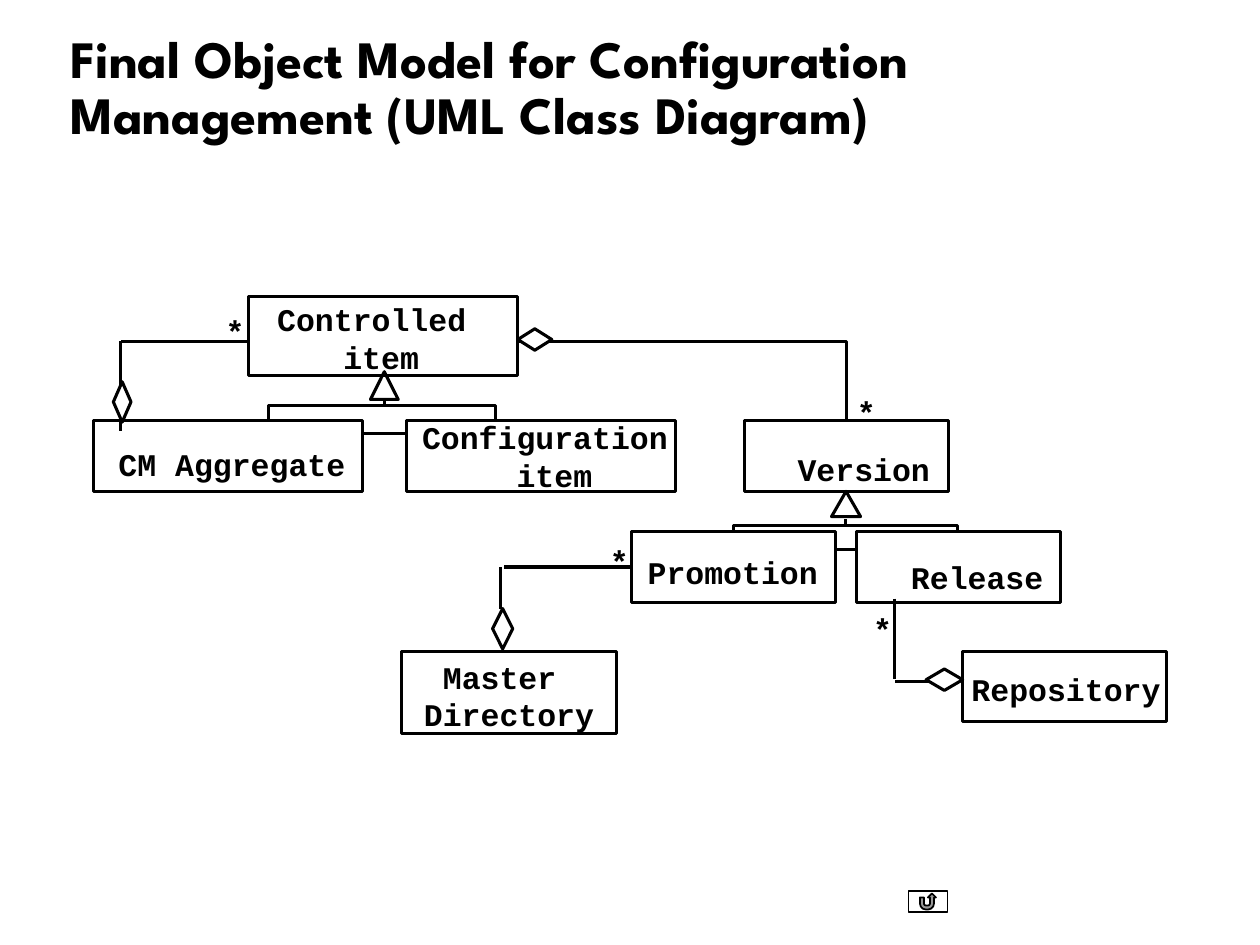
from pptx import Presentation
from pptx.dml.color import RGBColor
from pptx.enum.shapes import MSO_CONNECTOR, MSO_SHAPE
from pptx.enum.text import MSO_ANCHOR, PP_ALIGN
from pptx.oxml.ns import qn
from pptx.util import Pt
from lxml import etree

PX = 9144
RECT, DIAMOND = MSO_SHAPE.RECTANGLE, MSO_SHAPE.DIAMOND
TRIANGLE, RETURN = MSO_SHAPE.ISOSCELES_TRIANGLE, MSO_SHAPE.ACTION_BUTTON_RETURN
STRAIGHT = MSO_CONNECTOR.STRAIGHT
LEFT, CENTER = PP_ALIGN.LEFT, PP_ALIGN.CENTER
TOP, MIDDLE = MSO_ANCHOR.TOP, MSO_ANCHOR.MIDDLE
TOP_SIDE, LEFT_SIDE = 0, 1


def px(*values):
    return [round(v * PX) for v in values]


def color(value):
    return RGBColor.from_string(value)


def write(shape, text, font="Courier New", size=18, ink="000000", align=LEFT,
          anchor=TOP, insets=(0, 0, 0, 0), wrap=True, spacing=None):
    tf = shape.text_frame
    tf.word_wrap = wrap
    tf.vertical_anchor = anchor
    tf.margin_left, tf.margin_top, tf.margin_right, tf.margin_bottom = px(*insets)
    for i, line in enumerate(text.split("\n")):
        p = tf.add_paragraph() if i else tf.paragraphs[0]
        p.alignment = align
        if spacing:
            p.line_spacing = spacing
        r = p.add_run()
        r.text = line
        r.font.name, r.font.size, r.font.bold = font, Pt(size), True
        r.font.color.rgb = color(ink)


class Diagram:
    ink = "000000"
    paper = "FFFFFF"
    weight = 1.75

    def __init__(self, slide):
        self.slide = slide

    def stroke(self, line, weight=None):
        line.color.rgb = color(self.ink)
        line.width = Pt(weight or self.weight)

    def shape(self, kind, x, y, w, h, filled=True, weight=None):
        s = self.slide.shapes.add_shape(kind, *px(x, y, w, h))
        s.shadow.inherit = False
        if filled:
            s.fill.solid()
            s.fill.fore_color.rgb = color(self.paper)
        else:
            s.fill.background()
        self.stroke(s.line, weight)
        return s

    def box(self, text, x, y, w, h, **style):
        s = self.shape(RECT, x, y, w, h)
        write(s, text, **style)
        return s

    def text(self, text, x, y, w, h, **style):
        write(self.slide.shapes.add_textbox(*px(x, y, w, h)), text, **style)

    def many(self, x, y):
        self.text("*", x, y, 15, 30, wrap=False)

    def line(self, x1, y1, x2, y2, target=None, side=0):
        s = self.slide.shapes.add_connector(STRAIGHT, *px(x1, y1, x2, y2))
        self.stroke(s.line)
        etree.SubElement(s._element.spPr, qn("a:effectLst"))
        if target is not None:
            s.end_connect(target, side)

    def path_through(self, start, *points):
        fb = self.slide.shapes.build_freeform(*start, scale=PX)
        fb.add_line_segments(points, close=False)
        s = fb.convert_to_shape()
        s.shadow.inherit = False
        s.fill.background()
        self.stroke(s.line)


def main():
    prs = Presentation()
    prs.slide_width, prs.slide_height = px(1000, 750)
    d = Diagram(prs.slides.add_slide(prs.slide_layouts[6]))

    d.shape(RETURN, 721, 707, 31, 17, weight=1)
    d.text("Final Object Model for Configuration Management (UML Class Diagram)",
           46, 24, 892, 94, font="League Spartan", size=30, anchor=MIDDLE,
           insets=(10, 5, 10, 5), spacing=0.9)

    item_tree = d.shape(RECT, 213, 322, 180, 22, filled=False)
    version_tree = d.shape(RECT, 582, 417, 178, 19, filled=False)

    d.box("Controlled \nitem", 197, 235, 214, 63, align=CENTER, insets=(0, 3, 3, 0))
    d.box("CM Aggregate", 74, 334, 214, 56, insets=(20, 19, 0, 0))
    d.box("Configuration\n item", 323, 334, 213, 56, align=CENTER, anchor=MIDDLE,
          insets=(6, 0, 0, 0))
    d.box("Version", 591, 334, 162, 56, insets=(42, 23, 0, 0))
    d.box("Release", 680, 422, 162, 56, insets=(43, 21, 0, 0))
    promotion = d.box("Promotion", 501, 422, 162, 56, insets=(13, 17, 0, 0))
    d.box("Repository", 764, 517, 162, 56, insets=(7, 15, 0, 0))
    d.box("Master \nDirectory", 319, 517, 170, 65, align=CENTER, insets=(10, 5, 10, 0))

    d.shape(TRIANGLE, 294, 295, 22, 22, filled=False)
    d.line(305, 317, 305, 322)
    d.shape(TRIANGLE, 660, 390, 23, 20, filled=False)
    d.line(671, 412, 671, 417, version_tree, TOP_SIDE)

    d.path_through((411, 271), (672, 271), (672, 334))
    d.line(96, 342, 96, 271)
    d.line(197, 271, 96, 271)
    d.line(397, 483, 397, 450)
    d.line(400, 450, 501, 450, promotion, LEFT_SIDE)
    d.line(741, 541, 710, 541)
    d.line(710, 475, 710, 539)

    for x, y, w, h in ((411, 261, 27, 17), (90, 303, 14, 32),
                       (391, 483, 16, 32), (735, 531, 29, 17)):
        d.shape(DIAMOND, x, y, w, h)
    for x, y in ((680, 312), (179, 248), (484, 430), (693, 484)):
        d.many(x, y)

    prs.save("out.pptx")


if __name__ == "__main__":
    main()
